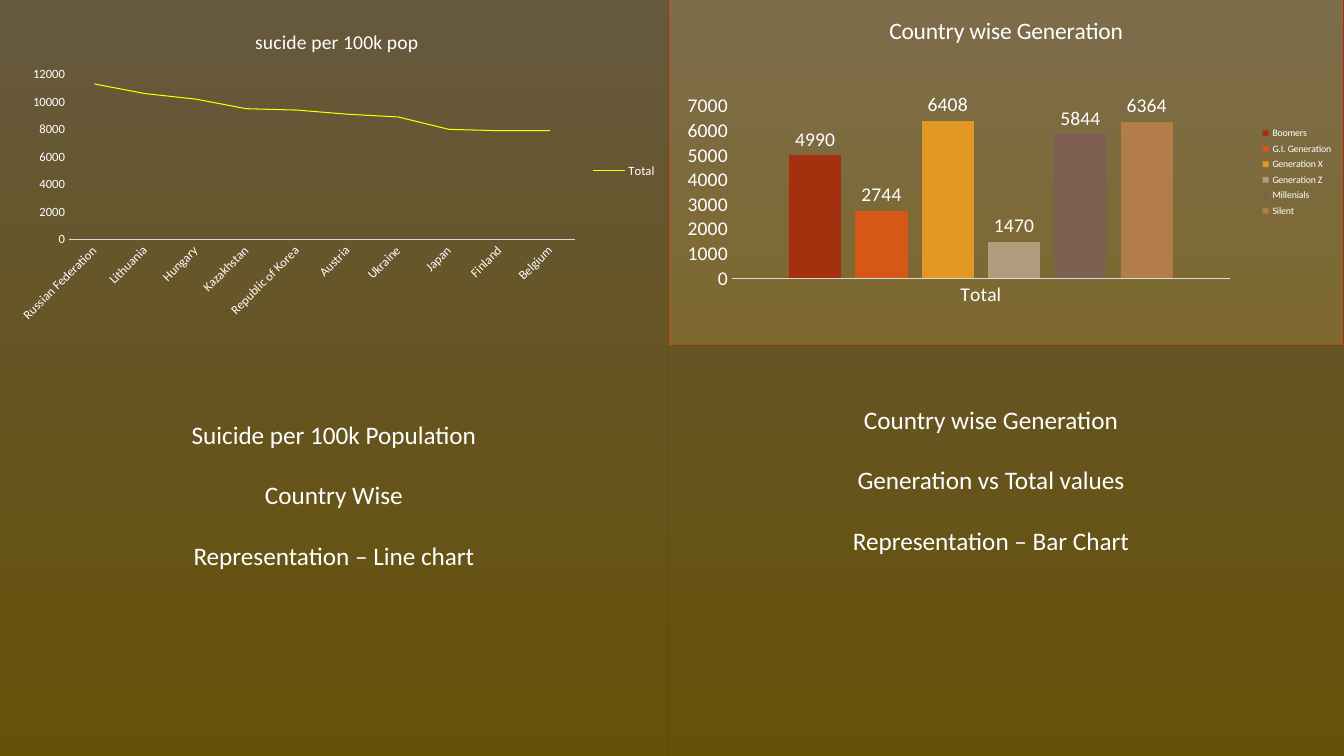
"""Build a slide with a line chart and a column chart, each above its caption."""
from pptx import Presentation
from pptx.chart.data import CategoryChartData
from pptx.dml.color import RGBColor
from pptx.enum.chart import (XL_CHART_TYPE, XL_LABEL_POSITION, XL_LEGEND_POSITION,
                             XL_MARKER_STYLE, XL_TICK_MARK)
from pptx.enum.shapes import MSO_SHAPE
from pptx.enum.text import PP_ALIGN
from pptx.oxml import parse_xml
from pptx.oxml.ns import nsdecls
from pptx.util import Pt

PX = 12192000 / 1344
FONT = "Calibri"
COLORS = {
    "sky": "FFDF9B", "ground": "FFCC13", "veil": "000000", "text": "FFFFFF",
    "axis": "D9D9D9", "line": "FFFF00", "border": "A5300F",
}
SUICIDES = {
    "Russian Federation": 11300, "Lithuania": 10600, "Hungary": 10200,
    "Kazakhstan": 9500, "Republic of Korea": 9400, "Austria": 9100,
    "Ukraine": 8900, "Japan": 8000, "Finland": 7900, "Belgium": 7900,
}
GENERATIONS = [
    ("Boomers", 4990, "A5300F"), ("G.I. Generation", 2744, "D55816"),
    ("Generation X", 6408, "E19825"), ("Generation Z", 1470, "B19C7D"),
    ("Millenials", 5844, "7F5F52"), ("Silent", 6364, "B27D49"),
]


def style_font(font, size):
    font.name = FONT
    font.size = Pt(size)
    font.bold = False
    font.color.rgb = RGBColor.from_string(COLORS["text"])


def add_styled_chart(slide, kind, box, data, title, sizes, maximum, step):
    title_size, axis_size, legend_size = sizes
    chart = slide.shapes.add_chart(kind, *[round(n * PX) for n in box], data).chart
    style_font(chart.font, axis_size)
    chart.has_title = True
    chart.chart_title.text_frame.text = title
    style_font(chart.chart_title.text_frame.paragraphs[0].font, title_size)
    chart.has_legend = True
    chart.legend.position = XL_LEGEND_POSITION.RIGHT
    chart.legend.include_in_layout = False
    style_font(chart.legend.font, legend_size)
    for axis in (chart.category_axis, chart.value_axis):
        axis.major_tick_mark = XL_TICK_MARK.NONE
        axis.minor_tick_mark = XL_TICK_MARK.NONE
        axis.has_major_gridlines = False
        style_font(axis.tick_labels.font, axis_size)
    chart.category_axis.format.line.color.rgb = RGBColor.from_string(COLORS["axis"])
    chart.category_axis.format.line.width = Pt(0.75)
    chart.value_axis.format.line.fill.background()
    chart.value_axis.minimum_scale = 0
    chart.value_axis.maximum_scale = maximum
    chart.value_axis.major_unit = step
    chart.plots[0].vary_by_categories = False
    return chart


presentation = Presentation()
presentation.slide_width = round(1344 * PX)
presentation.slide_height = round(756 * PX)
slide = presentation.slides.add_slide(presentation.slide_layouts[6])

background = slide.background.fill
background.gradient()
background.gradient_angle = 270
for stop, name in zip(background.gradient_stops, ("sky", "ground")):
    stop.color.rgb = RGBColor.from_string(COLORS[name])

for box in ((0, 0, 668, 756), (668, 346, 676, 410)):
    panel = slide.shapes.add_shape(MSO_SHAPE.RECTANGLE, *[round(n * PX) for n in box])
    panel.shadow.inherit = False
    panel.fill.solid()
    panel.fill.fore_color.rgb = RGBColor.from_string(COLORS["veil"])
    panel.line.fill.background()
    panel_color = panel.element.xpath("./p:spPr/a:solidFill/a:srgbClr")[0]
    panel_color.append(parse_xml(f'<a:alpha {nsdecls("a")} val="60000"/>'))

suicide_data = CategoryChartData()
suicide_data.categories = list(SUICIDES)
suicide_data.add_series("Total", list(SUICIDES.values()))
line_chart = add_styled_chart(
    slide, XL_CHART_TYPE.LINE, (7, 13, 660, 316), suicide_data,
    "sucide per 100k pop", (14, 9, 9), 12000, 2000)
total = line_chart.plots[0].series[0]
total.smooth = False
total.marker.style = XL_MARKER_STYLE.NONE
total.format.line.color.rgb = RGBColor.from_string(COLORS["line"])
total.format.line.width = Pt(0.75)
line_chart.element.xpath(".//c:catAx/c:txPr/a:bodyPr")[0].set("rot", "-2700000")

generation_data = CategoryChartData()
generation_data.categories = ["Total"]
for name, value, color in GENERATIONS:
    generation_data.add_series(name, [value])
column_chart = add_styled_chart(
    slide, XL_CHART_TYPE.COLUMN_CLUSTERED, (668, -2, 676, 348), generation_data,
    "Country wise Generation", (16.8, 14, 7), 7000, 1000)
columns = column_chart.plots[0]
columns.gap_width = 219
columns.overlap = -27
for series, (name, value, color) in zip(columns.series, GENERATIONS):
    series.format.fill.solid()
    series.format.fill.fore_color.rgb = RGBColor.from_string(color)
    labels = series.data_labels
    labels.show_value = True
    labels.position = XL_LABEL_POSITION.OUTSIDE_END
    style_font(labels.font, 14)

column_chart.element.xpath("./c:chart")[0].addnext(parse_xml(
    f'<c:spPr {nsdecls("c", "a")}><a:solidFill><a:srgbClr val="{COLORS["veil"]}">'
    '<a:alpha val="51000"/></a:srgbClr></a:solidFill><a:ln w="9525"><a:solidFill>'
    f'<a:srgbClr val="{COLORS["border"]}"/></a:solidFill></a:ln></c:spPr>'))
plot_area = column_chart.element.xpath("./c:chart/c:plotArea")[0]
for layout in plot_area.xpath("./c:layout"):
    plot_area.remove(layout)
plot_area.insert(0, parse_xml(
    f'<c:layout {nsdecls("c")}><c:manualLayout><c:layoutTarget val="inner"/>'
    '<c:xMode val="edge"/><c:yMode val="edge"/><c:x val="0.094"/><c:y val="0.31"/>'
    '<c:w val="0.738"/><c:h val="0.497"/></c:manualLayout></c:layout>'))

CAPTIONS = [
    (122, 414, ["Suicide per 100k Population", "Country Wise", "Representation – Line chart"]),
    (779, 399, ["Country wise Generation", "Generation vs Total values",
                "Representation – Bar Chart"]),
]
for left, top, lines in CAPTIONS:
    caption = slide.shapes.add_textbox(*[round(n * PX) for n in (left, top, 424, 194)])
    caption.text_frame.word_wrap = True
    caption.text_frame.text = "\n".join(lines)
    for paragraph in caption.text_frame.paragraphs:
        paragraph.alignment = PP_ALIGN.CENTER
        paragraph.space_after = Pt(21.6)
        style_font(paragraph.font, 18)

presentation.save("out.pptx")
